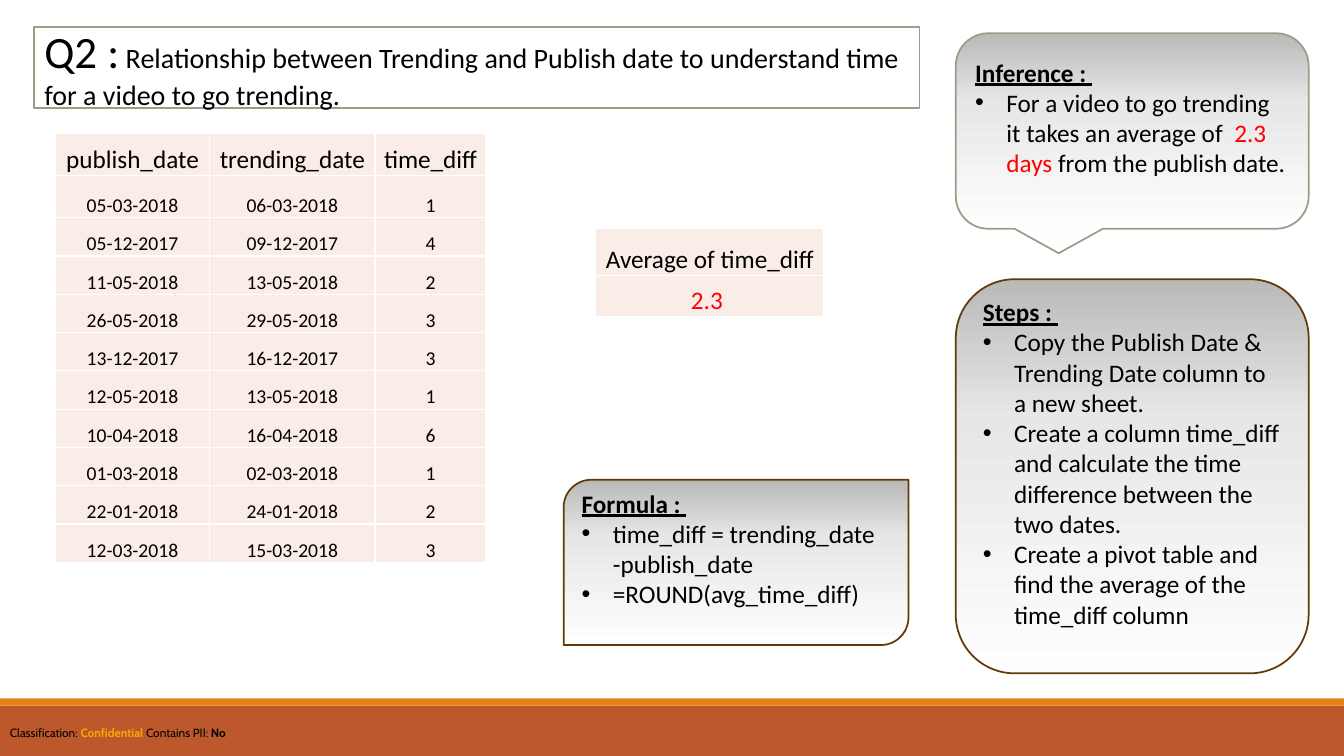
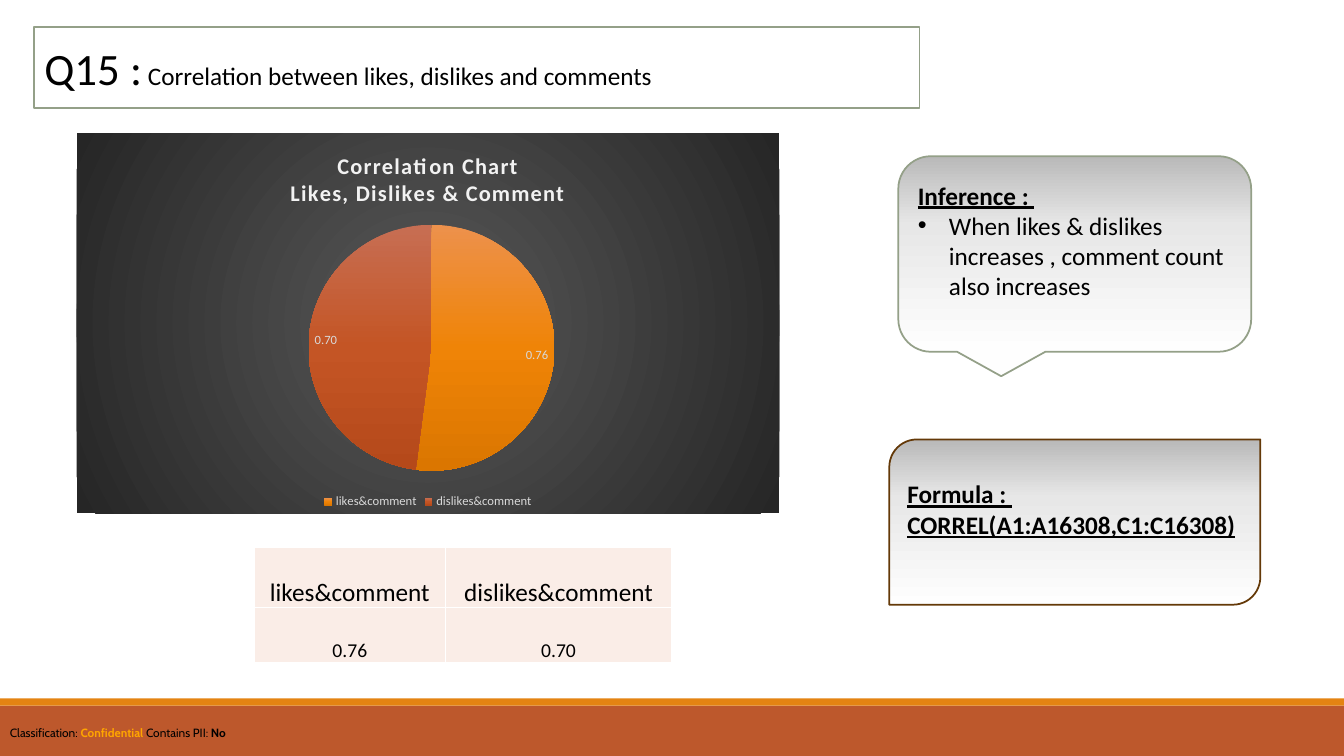
"""Build two analysis slides on trending time and comment correlation."""
from pptx import Presentation
from pptx.chart.data import CategoryChartData
from pptx.dml.color import RGBColor
from pptx.enum.chart import XL_CHART_TYPE as Chart, XL_LABEL_POSITION as LabelPos, XL_LEGEND_POSITION as LegendPos
from pptx.enum.shapes import MSO_SHAPE as Shape
from pptx.enum.text import MSO_ANCHOR as Anchor, MSO_AUTO_SIZE as AutoSize, PP_ALIGN as Align
from pptx.oxml import parse_xml
from pptx.oxml.ns import nsdecls, qn
from pptx.util import Inches, Pt

WIDTH, HEIGHT = 13.33, 7.5
BLACK, WHITE, RED = "000000", "FFFFFF", "FF0000"
RUST, ORANGE, AMBER = "BD582C", "E48312", "FFA500"
SAGE, BROWN, CELL = "94A088", "643908", "FAEDE7"
PALE, TITLE_GREY = "D9D9D9", "F2F2F2"
SILVER = [(0, "FEFEFE"), (65, "E7E7E7"), (100, "B9B9B9")]
CHARCOAL = [(0, "595959"), (100, "262626")]
SLICES = [
    [(0, "ED914C"), (50, "EF8407"), (100, "DB7600")],
    [(0, "C76E53"), (50, "C45525"), (100, "B5491A")],
]
UPWARD, DOWNWARD = '<a:lin ang="16200000" scaled="0"/>', '<a:lin ang="5400000" scaled="0"/>'
RADIAL = '<a:path path="circle"><a:fillToRect l="50000" t="50000" r="50000" b="50000"/></a:path>'

FOOTER = [
    ("Classification: ", {}),
    ("Confidential", {"color": AMBER, "bold": True}),
    (" Contains PII: ", {}),
    ("No", {"bold": True}),
]
INFERENCE = {"shape": Shape.ROUNDED_RECTANGULAR_CALLOUT, "line": SAGE, "heading": "Inference : ", "top": 0.14}
STEPS = {"shape": Shape.ROUNDED_RECTANGLE, "line": BROWN, "heading": "Steps : ", "top": 0}
FORMULA = {"shape": Shape.ROUND_2_DIAG_RECTANGLE, "line": BROWN, "heading": "Formula : ", "top": 0}
CORRELATION = {"likes&comment": 0.76, "dislikes&comment": 0.7}

SLIDES = [
    {
        "title": ("Q2 :", " Relationship between Trending and Publish date to understand time for a video to go trending.", 20),
        "cards": [
            {**INFERENCE, "at": (9.48, 0.33, 3.5, 1.94), "bullets": [
                [("For a video to go trending it takes an average of ", {}),
                 (" 2.3 days ", {"color": RED}), ("from the publish date.", {})]]},
            {**STEPS, "at": (9.48, 2.77, 3.5, 3.91), "bullets": [
                [("Copy the Publish Date & Trending Date column to a new sheet.", {})],
                [("Create a column time_diff and calculate the time difference between the two dates.", {})],
                [("Create a pivot table and find the average of the time_diff column", {})]]},
            {**FORMULA, "at": (5.59, 4.76, 3.42, 1.64), "bullets": [
                [("time_diff = trending_date -publish_date", {})],
                [("=ROUND(avg_time_diff)", {})]]},
        ],
        "tables": [
            {"at": (0.55, 1.32), "cols": [1.53, 1.64, 1.1], "rows": [0.42] * 2 + [0.38] * 9, "cells": [
                ("publish_date", "trending_date", "time_diff"),
                ("05-03-2018", "06-03-2018", "1"),
                ("05-12-2017", "09-12-2017", "4"),
                ("11-05-2018", "13-05-2018", "2"),
                ("26-05-2018", "29-05-2018", "3"),
                ("13-12-2017", "16-12-2017", "3"),
                ("12-05-2018", "13-05-2018", "1"),
                ("10-04-2018", "16-04-2018", "6"),
                ("01-03-2018", "02-03-2018", "1"),
                ("22-01-2018", "24-01-2018", "2"),
                ("12-03-2018", "15-03-2018", "3")]},
            {"at": (5.91, 2.27), "cols": [2.26], "rows": [0.46, 0.41],
             "cells": [("Average of time_diff",), ("2.3 ",)], "body": {"size": 18, "color": RED}},
        ],
    },
    {
        "title": ("Q15 :", " Correlation between likes, dislikes and comments", 18),
        "cards": [
            {**INFERENCE, "at": (8.91, 1.55, 3.5, 1.94), "bullets": [
                [("When likes & dislikes increases , comment count also increases", {})]]},
            {**FORMULA, "at": (8.82, 4.36, 3.68, 1.64), "top": 0.31, "bullets": [],
             "subheading": "CORREL(A1:A16308,C1:C16308)"},
        ],
        "chart": {"at": (0.76, 1.32, 6.97, 3.77), "title": ["Correlation Chart", "Likes, Dislikes & Comment"]},
        "tables": [
            {"at": (2.52, 5.43), "cols": [1.9, 2.24], "rows": [0.6, 0.54],
             "cells": [tuple(CORRELATION), [f"{v:.2f}" for v in CORRELATION.values()]]},
        ],
    },
]


def rgb(value):
    return RGBColor.from_string(value)


def inches(values):
    return [Inches(v) for v in values]


def style(font, size=18, color=BLACK, name="Calibri", bold=False, underline=False):
    font.size, font.name, font.bold, font.underline = Pt(size), name, bold, underline
    font.color.rgb = rgb(color)


def write(p, text, **fmt):
    r = p.add_run()
    r.text = text
    style(r.font, **fmt)
    return r


def next_paragraph(tf):
    p = tf.paragraphs[0]
    return tf.add_paragraph() if p.runs else p


def gradient(stops, direction):
    marks = "".join(f'<a:gs pos="{pos * 1000}"><a:srgbClr val="{c}"/></a:gs>' for pos, c in stops)
    return parse_xml(f'<a:gradFill {nsdecls("a")} rotWithShape="1"><a:gsLst>{marks}</a:gsLst>{direction}</a:gradFill>')


def fill_gradient(target, element, stops, direction):
    target.fill.solid()
    solid = element.find(".//" + qn("a:solidFill"))
    solid.getparent().replace(solid, gradient(stops, direction))


def outline(s, color):
    s.line.color.rgb = rgb(color)
    s.line.width = Pt(1.25)


def add_bands(layout, slide):
    for ph in list(layout.placeholders)[1:]:
        ph.element.getparent().remove(ph.element)
    parts = []
    for top, height, color in ((7, 0.5, RUST), (6.93, 0.07, ORANGE)):
        s = slide.shapes.add_shape(Shape.RECTANGLE, *inches((0, top, WIDTH, height)))
        s.shadow.inherit = False
        s.fill.solid()
        s.fill.fore_color.rgb = rgb(color)
        s.line.fill.background()
        parts.append(s)
    box = slide.shapes.add_textbox(*inches((0, 7.15, WIDTH, 0.24)))
    box.text_frame.word_wrap = True
    for text, fmt in FOOTER:
        write(box.text_frame.paragraphs[0], text, **{"size": 8.5, "name": "Cabin", **fmt})
    for s in parts + [box]:
        layout.shapes.element.append(s.element)


def set_title(slide, number, text, size):
    s = slide.shapes.title
    s.left, s.top, s.width, s.height = inches((0.34, 0.27, 8.78, 0.8))
    s.element.spPr.append(parse_xml(f'<a:prstGeom {nsdecls("a")} prst="roundRect"><a:avLst/></a:prstGeom>'))
    s.fill.solid()
    s.fill.fore_color.rgb = rgb(WHITE)
    outline(s, SAGE)
    tf = s.text_frame
    tf.auto_size, tf.vertical_anchor, tf.word_wrap = AutoSize.NONE, Anchor.MIDDLE, True
    p = tf.paragraphs[0]
    p.alignment = Align.LEFT
    write(p, number, size=32)
    write(p, text, size=size)


def add_card(slide, card):
    s = slide.shapes.add_shape(card["shape"], *inches(card["at"]))
    s.shadow.inherit = False
    fill_gradient(s, s.element, SILVER, UPWARD)
    outline(s, card["line"])
    tf = s.text_frame
    tf.word_wrap, tf.vertical_anchor = True, Anchor.TOP
    tf.margin_top = Inches(card["top"])
    for text in filter(None, (card["heading"], card.get("subheading"))):
        write(next_paragraph(tf), text, bold=True, underline=True)
    for runs in card["bullets"]:
        p = tf.add_paragraph()
        pPr = p._p.get_or_add_pPr()
        pPr.set("marL", str(Inches(0.31)))
        pPr.set("indent", str(-Inches(0.31)))
        pPr.append(parse_xml(f'<a:buFont {nsdecls("a")} typeface="Arial"/>'))
        pPr.append(parse_xml(f'<a:buChar {nsdecls("a")} char="•"/>'))
        for text, fmt in runs:
            write(p, text, **fmt)
    for p in tf.paragraphs:
        p.alignment = Align.LEFT


def add_grid(slide, at, cols, rows, cells, body=None):
    frame = slide.shapes.add_table(len(rows), len(cols), *inches((*at, sum(cols), sum(rows))))
    table = frame.table
    table.first_row = table.horz_banding = False
    for lines, lengths, side in ((table.columns, cols, "width"), (table.rows, rows, "height")):
        for line, length in zip(lines, lengths):
            setattr(line, side, Inches(length))
    for i, row in enumerate(cells):
        for j, text in enumerate(row):
            cell = table.cell(i, j)
            cell.fill.solid()
            cell.fill.fore_color.rgb = rgb(CELL)
            cell.vertical_anchor = Anchor.BOTTOM
            cell.margin_left = cell.margin_right = cell.margin_top = Inches(0.01)
            cell.margin_bottom = 0
            p = cell.text_frame.paragraphs[0]
            p.alignment = Align.CENTER
            write(p, text, **((body or {"size": 14}) if i else {}))


def place(parent, index, inner="", **shares):
    for old in parent.findall(qn("c:layout")):
        parent.remove(old)
    modes = "".join(f'<c:{k}Mode val="edge"/>' for k in "xy")
    sizes = "".join(f'<c:{k} val="{v}"/>' for k, v in shares.items())
    parent.insert(index, parse_xml(
        f'<c:layout {nsdecls("c")}><c:manualLayout>{inner}{modes}{sizes}</c:manualLayout></c:layout>'))


def add_pie(slide, at, title):
    data = CategoryChartData(number_format="0.00")
    data.categories = list(CORRELATION)
    data.add_series("Series 1", list(CORRELATION.values()))
    chart = slide.shapes.add_chart(Chart.PIE, *inches(at), data).chart
    style(chart.font, size=10)
    space = chart._chartSpace
    spPr = parse_xml(f'<c:spPr {nsdecls("c", "a")}><a:ln><a:noFill/></a:ln></c:spPr>')
    spPr.insert(0, gradient(CHARCOAL, RADIAL))
    space.find(qn("c:chart")).addnext(spPr)

    chart.has_title = True
    tf = chart.chart_title.text_frame
    for line in title:
        r = write(next_paragraph(tf), line, size=16, color=TITLE_GREY, bold=True)
        r.font._element.set("spc", "100")
    place(chart.chart_title._element, 1, x=0.3, y=0.04)
    place(space.find(".//" + qn("c:plotArea")), 0, '<c:layoutTarget val="inner"/>', x=0.33, y=0.24, w=0.35, h=0.65)

    chart.has_legend = True
    chart.legend.position = LegendPos.BOTTOM
    chart.legend.include_in_layout = False
    style(chart.legend.font, size=9, color=PALE)
    plot = chart.plots[0]
    plot.vary_by_categories = True
    plot.has_data_labels = True
    labels = plot.data_labels
    labels.show_value, labels.show_percentage = True, False
    labels.number_format, labels.number_format_is_linked = "0.00", False
    labels.position = LabelPos.INSIDE_END
    style(labels.font, size=9, color=PALE)
    for i, stops in enumerate(SLICES):
        fmt = plot.series[0].points[i].format
        fill_gradient(fmt, fmt.element, stops, DOWNWARD)
        fmt.line.fill.background()


def main():
    prs = Presentation()
    prs.slide_width, prs.slide_height = inches((WIDTH, HEIGHT))
    layout = prs.slide_layouts[5]
    for i, content in enumerate(SLIDES):
        slide = prs.slides.add_slide(layout)
        if i == 0:
            add_bands(layout, slide)
        set_title(slide, *content["title"])
        for card in content["cards"]:
            add_card(slide, card)
        if "chart" in content:
            add_pie(slide, **content["chart"])
        for table in content["tables"]:
            add_grid(slide, **table)
    prs.save("out.pptx")


if __name__ == "__main__":
    main()
